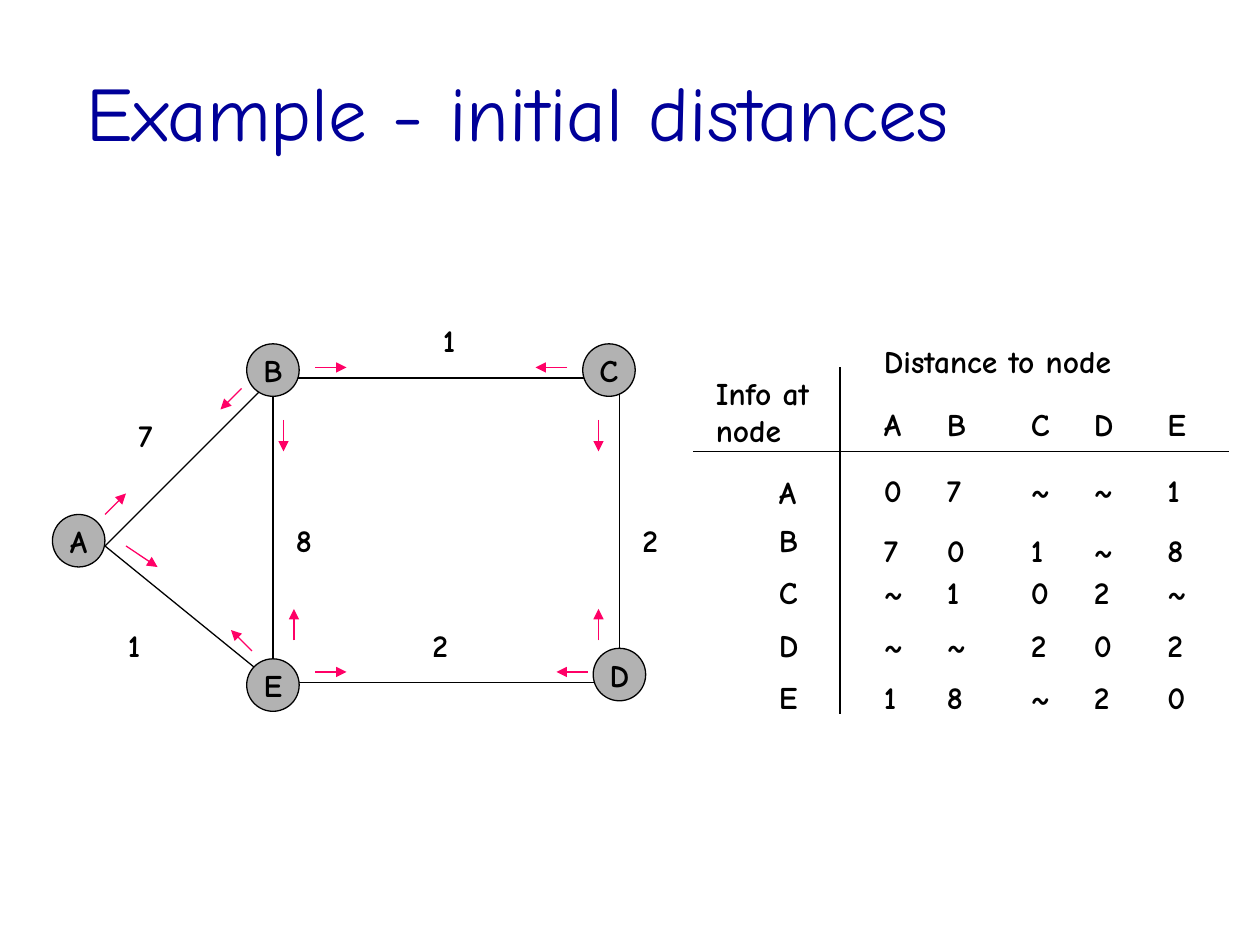
from pptx import Presentation
from pptx.dml.color import RGBColor
from pptx.enum.shapes import MSO_CONNECTOR, MSO_SHAPE
from pptx.enum.text import MSO_ANCHOR, MSO_AUTO_SIZE, PP_ALIGN
from pptx.oxml.ns import qn
from pptx.util import Inches, Pt
from lxml import etree

STRAIGHT = MSO_CONNECTOR.STRAIGHT
RECT, OVAL = MSO_SHAPE.RECTANGLE, MSO_SHAPE.OVAL
MIDDLE, LEFT, CENTER = MSO_ANCHOR.MIDDLE, PP_ALIGN.LEFT, PP_ALIGN.CENTER
FIT, NO_FIT = MSO_AUTO_SIZE.SHAPE_TO_FIT_TEXT, MSO_AUTO_SIZE.NONE
FONT, BLACK, NAVY, GREY, PINK = "Comic Neue", "000000", "000099", "B2B2B2", "FF0066"
WIDTH, HEIGHT = Inches(10), Inches(7.5)
COLS, ROWS = 120, 90
CHAR_W, LINE_H, NODE_D = 4.3, 4.8, 5


def rgb(value):
    return RGBColor.from_string(value)


def col(n):
    return round(WIDTH * n / COLS)


def row(n):
    return round(HEIGHT * n / ROWS)


def add_run(p, text, size=18, color=BLACK, bold=True):
    r = p.add_run()
    r.text = text
    r.font.name = FONT
    r.font.size = Pt(size)
    r.font.bold = bold
    r.font.color.rgb = rgb(color)


def add_label(s, x, y, *lines, w=CHAR_W):
    box = s.shapes.add_textbox(col(x), row(y), col(w), row(LINE_H + 3.6 * (len(lines) - 1)))
    tf = box.text_frame
    tf.word_wrap = False
    tf.auto_size = FIT
    for i, line in enumerate(lines):
        p = tf.add_paragraph() if i else tf.paragraphs[0]
        add_run(p, line)


def add_line(s, x1, y1, x2, y2, color=BLACK, arrow=False):
    line = s.shapes.add_connector(STRAIGHT, col(x1), row(y1), col(x2), row(y2))
    line.line.color.rgb = rgb(color)
    line.line.width = Pt(0.75)
    if arrow:
        ln = line.line._get_or_add_ln()
        etree.SubElement(ln, qn("a:tailEnd"), type="triangle")
    etree.SubElement(line._element.spPr, qn("a:effectLst"))


def add_outline(s, kind, x, y, w, h, fill=None):
    sp = s.shapes.add_shape(kind, col(x), row(y), col(w), row(h))
    sp.shadow.inherit = False
    sp.line.color.rgb = rgb(BLACK)
    sp.line.width = Pt(0.75)
    if fill:
        sp.fill.solid()
        sp.fill.fore_color.rgb = rgb(fill)
    else:
        sp.fill.background()
    return sp


def add_node(s, cx, cy, name):
    sp = add_outline(s, OVAL, cx - NODE_D / 2, cy - NODE_D / 2, NODE_D, NODE_D, GREY)
    tf = sp.text_frame
    tf.margin_left = tf.margin_right = tf.margin_top = tf.margin_bottom = 0
    tf.word_wrap = False
    tf.vertical_anchor = MIDDLE
    tf.paragraphs[0].alignment = CENTER
    add_run(tf.paragraphs[0], name)


def add_title(s, x, y, w, h):
    sp = s.shapes.title
    sp.left, sp.top, sp.width, sp.height = col(x), row(y), col(w), row(h)
    tf = sp.text_frame
    tf.word_wrap = True
    tf.auto_size = NO_FIT
    tf.vertical_anchor = MIDDLE
    p = tf.paragraphs[0]
    p.alignment = LEFT
    add_run(p, "Example - initial distances", 44, NAVY, False)


def add_graph(s, x, y):
    add_outline(s, RECT, x + 21, y + 6, 33, 29)
    for x1, y1, x2, y2 in [(21, 6, 5, 22), (5, 22, 21, 35)]:
        add_line(s, x + x1, y + y1, x + x2, y + y2)

    nodes = {"A": (2.5, 21.5), "B": (21, 5.25), "E": (21, 35.25),
             "C": (53, 5.25), "D": (54, 34.25)}
    for name, (cx, cy) in nodes.items():
        add_node(s, x + cx, y + cy, name)

    costs = [(7, 9, "7"), (6, 29, "1"), (36, 0, "1"),
             (35, 29, "2"), (55, 19, "2"), (22, 19, "8")]
    for dx, dy, cost in costs:
        add_label(s, x + dx, y + dy, cost)

    arrows = [(25, 5, 3, 0), (25, 34, 3, 0), (49, 5, -3, 0), (51, 34, -3, 0),
              (22, 10, 0, 3), (52, 10, 0, 3), (52, 31, 0, -3), (23, 31, 0, -3),
              (19, 32, -2, -2), (7, 22, 3, 2), (5, 19, 2, -2), (18, 7, -2, 2)]
    for ax, ay, dx, dy in arrows:
        add_line(s, x + ax, y + ay, x + ax + dx, y + ay + dy, PINK, True)


def add_distances(s, x, y, w, h):
    names = "ABCDE"
    columns = [17, 23, 31, 37, 44]
    name_rows = [12.5, 17, 22, 27, 32]
    value_rows = [12.25, 18, 22, 27, 32]
    distances = ["07~~1", "701~8", "~102~", "~~202", "18~20"]

    add_line(s, x, y + 11, x + w, y + 11)
    add_line(s, x + 14, y + 3, x + 14, y + h)
    add_label(s, x + 1, y + 3, "Info at", "node", w=13)
    add_label(s, x + columns[0], y, "Distance to node", w=26.9)
    for name, dx in zip(names, columns):
        add_label(s, x + dx, y + 6, name)
    for name, name_y, value_y, values in zip(names, name_rows, value_rows, distances):
        add_label(s, x + 7, y + name_y, name)
        for value, dx in zip(values, columns):
            add_label(s, x + dx, y + value_y, value)


def main():
    prs = Presentation()
    prs.slide_width, prs.slide_height = WIDTH, HEIGHT
    s = prs.slides.add_slide(prs.slide_layouts[5])
    add_title(s, 7, 3, 102, 15)
    add_graph(s, 5, 30)
    add_distances(s, 66, 32, 51, 36)
    prs.save("out.pptx")


if __name__ == "__main__":
    main()
